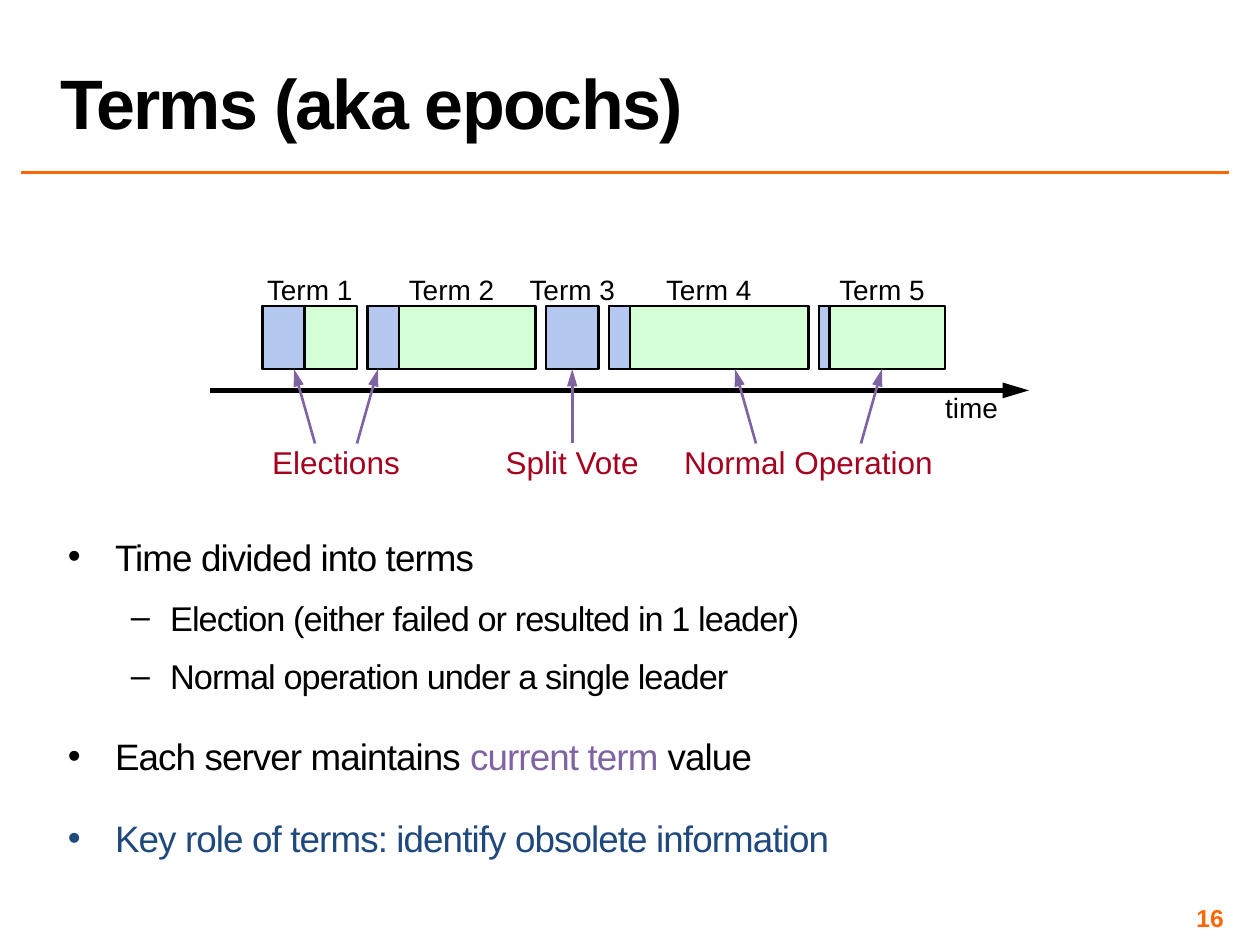
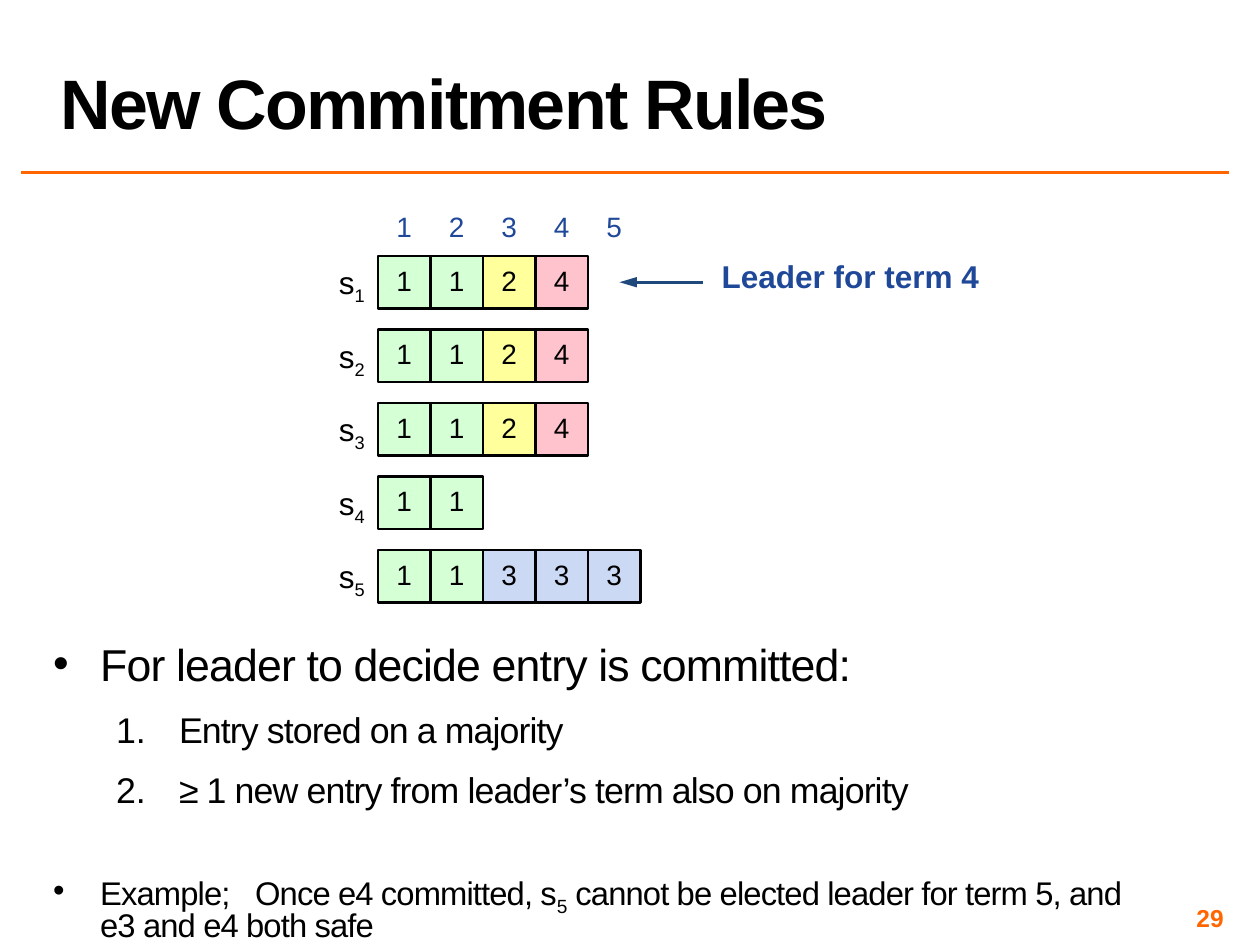
from lxml import etree
from pptx import Presentation
from pptx.dml.color import RGBColor
from pptx.enum.shapes import MSO_CONNECTOR, MSO_SHAPE
from pptx.enum.text import MSO_ANCHOR, PP_ALIGN
from pptx.oxml.ns import qn
from pptx.util import Cm, Pt

FONT = "Arial"
BLACK, ORANGE, RED, PURPLE = "000000", "FF6600", "A5001E", "8064A2"
NAVY, BLUE = "1F497D", "1F4899"
ELECTION, NORMAL = "B3C7EF", "D5FFD5"
UNIT = 2.54 / 12  # drawing grid, in cm
INSET = 0.1

# Timeline: (name, length, election length), in grid units
TERMS = [("Term 1", 9, 4), ("Term 2", 16, 3), ("Term 3", 5, 5),
         ("Term 4", 19, 2), ("Term 5", 12, 1)]
FIRST_TERM, TERM_GAP = 25, 1
TERM_TOP, TERM_HEIGHT = 6.17, 1.27
AXIS_Y, CALLOUT_Y = 7.87, 8.94

# Callouts: (label, width in cm, [(arrow start, arrow end) in grid units])
CALLOUTS = [("Elections", 2.6, [(30, 28), (34, 36)]),
            ("Split Vote", 2.72, [(54.5, 54.5)]),
            ("Normal Operation", 5.05, [(72, 70), (82, 84)])]

# Server logs: the term number of each entry
LOGS = [[1, 1, 2, 4], [1, 1, 2, 4], [1, 1, 2, 4], [1, 1], [1, 1, 3, 3, 3]]
TERM_COLORS = {1: NORMAL, 2: "FFFF9B", 3: "CCD9F4", 4: "FFC3CE"}
LOG_LEFT, LOG_TOP = 7.62, 5.16
CELL, ROW_PITCH = 5 * UNIT, 7 * UNIT

# Paragraph styles: level, left margin, first indent, line spacing, before
STYLES = {
    "point": (0, 0.95, -0.95, 0.8, 30, "•"),
    "loose": (0, 0.95, -0.95, 1.3, 6, "•"),
    "dash": (1, 2.06, -0.79, 0.75, 8, "–"),
    "number": (1, 2.54, -1.27, 0.75, 8, None),
}
# Body paragraphs: (style, size, [(text, run options)])
TERMS_BODY = [
    ("point", 21, [("Time divided into terms", {})]),
    ("dash", 19.6, [("Election (either failed or resulted in 1 leader)", {})]),
    ("dash", 19.6, [("Normal operation under a single leader", {})]),
    ("loose", 21, [("Each server maintains ", {}),
                   ("current term ", {"color": PURPLE}), ("value", {})]),
    ("loose", 21, [("Key role of terms: identify obsolete information",
                    {"color": NAVY})]),
]
RULES_BODY = [
    ("point", 25.5, [("For leader to decide entry is committed:", {})]),
    ("number", 20.4, [("Entry stored on a majority", {})]),
    ("number", 20.4,
     [("≥ 1 new entry from leader’s term also on majority", {})]),
    ("point", 18.7, [("Example;", {}), (" ", {"spacing": 8.9}),
                     ("Once e4 committed, s", {}), ("5", {"sub": True}),
                     (" cannot be elected leader for term 5, "
                      "and e3 and e4 both safe", {})]),
]


def rgb(value):
    """Turn a hex string into a colour."""
    return RGBColor.from_string(value)


def add_run(paragraph, text, size, color=BLACK, bold=False, spacing=0,
            sub=False):
    """Append one formatted run; spacing is in points."""
    run = paragraph.add_run()
    run.text = text
    font = run.font
    font.name, font.size, font.bold = FONT, Pt(size), bold
    font.color.rgb = rgb(color)
    properties = run._r.get_or_add_rPr()
    if spacing:
        properties.set("spc", str(round(spacing * 100)))
    if sub:
        properties.set("baseline", "-25000")


def set_frame(frame, inset=0, anchor=MSO_ANCHOR.TOP, wrap=True):
    """Set margins, anchor and wrapping of a text frame."""
    frame.margin_left = frame.margin_right = Cm(inset)
    frame.margin_top = frame.margin_bottom = Cm(inset)
    frame.vertical_anchor, frame.word_wrap = anchor, wrap


def add_text(slide, box, runs, size, align=PP_ALIGN.CENTER, line_spacing=None,
             inset=0, anchor=MSO_ANCHOR.TOP, wrap=True):
    """Add a one-paragraph text box; runs are (text, options) pairs."""
    frame = slide.shapes.add_textbox(*map(Cm, box)).text_frame
    set_frame(frame, inset, anchor, wrap)
    paragraph = frame.paragraphs[0]
    paragraph.alignment = align
    if line_spacing:
        paragraph.line_spacing = line_spacing
    for text, options in runs:
        add_run(paragraph, text, size, **options)
    return frame


def add_box(slide, box, fill, text=""):
    """Add a black-edged rectangle with an optional centred text."""
    shape = slide.shapes.add_shape(MSO_SHAPE.RECTANGLE, *map(Cm, box))
    shape.shadow.inherit = False
    shape.fill.solid()
    shape.fill.fore_color.rgb = rgb(fill)
    shape.line.color.rgb, shape.line.width = rgb(BLACK), Pt(1.5)
    if text:
        set_frame(shape.text_frame, anchor=MSO_ANCHOR.MIDDLE)
        paragraph = shape.text_frame.paragraphs[0]
        paragraph.alignment, paragraph.line_spacing = PP_ALIGN.CENTER, Pt(17)
        add_run(paragraph, text, 16)


def add_line(slide, start, end, color, width, arrow=True):
    """Add a straight line, with an arrowhead at its end if asked."""
    line = slide.shapes.add_connector(MSO_CONNECTOR.STRAIGHT,
                                      *map(Cm, start + end))
    line.line.color.rgb, line.line.width = rgb(color), Pt(width)
    if arrow:
        etree.SubElement(line.line._get_or_add_ln(), qn("a:tailEnd"),
                         type="triangle", w="med", len="lg")
    etree.SubElement(line._element.spPr, qn("a:effectLst"))


def add_body(slide, box, paragraphs):
    """Add the bulleted and numbered body text."""
    frame = slide.shapes.add_textbox(*map(Cm, box)).text_frame
    set_frame(frame, INSET)
    for index, (style, size, runs) in enumerate(paragraphs):
        paragraph = frame.add_paragraph() if index else frame.paragraphs[0]
        level, margin, indent, spacing, before, bullet = STYLES[style]
        paragraph.level, paragraph.line_spacing = level, spacing
        paragraph.space_before, paragraph.space_after = Pt(before), Pt(8)
        properties = paragraph._p.get_or_add_pPr()
        properties.set("marL", str(Cm(margin)))
        properties.set("indent", str(Cm(indent)))
        etree.SubElement(properties, qn("a:buFont"), typeface=FONT)
        if bullet:
            etree.SubElement(properties, qn("a:buChar"), char=bullet)
        else:
            etree.SubElement(properties, qn("a:buAutoNum"),
                             type="arabicPeriod")
        for text, options in runs:
            add_run(paragraph, text, size, **{"spacing": -0.5, **options})


def add_page(deck, title, number):
    """Add a slide with the shared title, rule and page number."""
    slide = deck.slides.add_slide(deck.slide_layouts[6])
    add_line(slide, (0.43, 3.48), (24.77, 3.48), ORANGE, 2, arrow=False)
    frame = add_text(slide, (0.97, 0.05, 23.8, 2.97),
                     [(title, {"bold": True, "spacing": -1})], 40,
                     PP_ALIGN.LEFT, 0.8, 0.25, MSO_ANCHOR.BOTTOM)
    frame.margin_top = frame.margin_bottom = Cm(0.13)
    add_text(slide, (18.85, 18.21, 5.92, 0.58),
             [(str(number), {"bold": True, "color": ORANGE})], 14,
             PP_ALIGN.RIGHT, inset=INSET, anchor=MSO_ANCHOR.MIDDLE)
    return slide


def draw_timeline(slide):
    """Draw the terms, the time axis and the callouts."""
    add_line(slide, (20 * UNIT, AXIS_Y), (98 * UNIT, AXIS_Y), BLACK, 3)
    add_text(slide, (90 * UNIT, AXIS_Y, 1.07, 0.68), [("time", {})], 16,
             wrap=False)
    start = FIRST_TERM
    for name, length, election in TERMS:
        if length > election:
            add_box(slide, (start * UNIT, TERM_TOP, length * UNIT,
                            TERM_HEIGHT), NORMAL)
        add_box(slide, (start * UNIT, TERM_TOP, election * UNIT, TERM_HEIGHT),
                ELECTION)
        center = (start + length / 2) * UNIT
        add_text(slide, (center - 0.88, TERM_TOP - 0.68, 1.76, 0.68),
                 [(name, {})], 16, wrap=False)
        start += length + TERM_GAP
    for label, width, arrows in CALLOUTS:
        center = sum(tail for tail, _ in arrows) / len(arrows) * UNIT
        add_text(slide, (center - width / 2, CALLOUT_Y, width, 0.76),
                 [(label, {"color": RED})], 18, wrap=False)
        for tail, head in arrows:
            add_line(slide, (tail * UNIT, CALLOUT_Y),
                     (head * UNIT, TERM_TOP + TERM_HEIGHT), PURPLE, 1.5)


def draw_logs(slide):
    """Draw the column numbers, the server logs and the leader mark."""
    for column in range(max(map(len, LOGS))):
        add_text(slide, (LOG_LEFT + column * CELL, LOG_TOP - CELL, CELL, 0.94),
                 [(str(column + 1), {"color": BLUE})], 16, inset=0.13)
    for row, log in enumerate(LOGS):
        top = LOG_TOP + row * ROW_PITCH
        add_text(slide, (LOG_LEFT - CELL, top + 0.15, CELL, 0.76),
                 [("s", {}), (str(row + 1), {"sub": True})], 18)
        for column, term in enumerate(log):
            add_box(slide, (LOG_LEFT + column * CELL, top, CELL, CELL),
                    TERM_COLORS[term], str(term))
    middle = LOG_TOP + CELL / 2
    add_line(slide, (67 * UNIT, middle), (59 * UNIT, middle), NAVY, 1.5)
    add_text(slide, (14.55, 5.28, 5.51, 0.69),
             [("Leader for term 4", {"bold": True, "color": BLUE})], 18,
             PP_ALIGN.LEFT, Pt(19))


def main():
    """Build and save the deck."""
    deck = Presentation()
    deck.slide_width, deck.slide_height = Cm(25.4), Cm(19.05)
    slide = add_page(deck, "Terms (aka epochs)", 16)
    draw_timeline(slide)
    add_body(slide, (1.27, 10.85, 22.86, 7.01), TERMS_BODY)
    slide = add_page(deck, "New Commitment Rules", 29)
    draw_logs(slide)
    add_body(slide, (0.97, 12.95, 22.45, 6.15), RULES_BODY)
    deck.save("out.pptx")


main()
